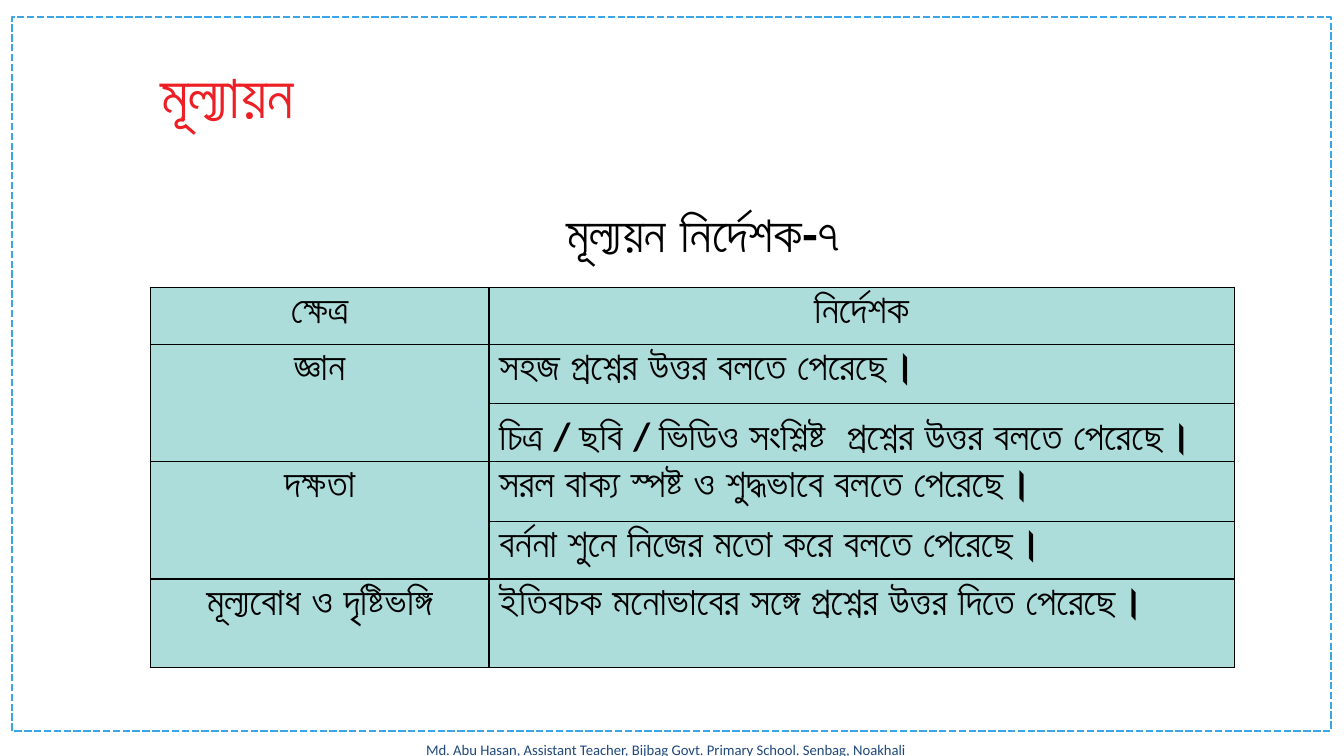
"""Build the assessment slide with its table of indicators."""
from dataclasses import dataclass

import pptx
import pptx.dml.color
import pptx.enum.dml
import pptx.enum.shapes
import pptx.enum.text
import pptx.oxml
import pptx.oxml.ns
import pptx.util

RGBColor = pptx.dml.color.RGBColor
PP_ALIGN = pptx.enum.text.PP_ALIGN
RED = RGBColor(0xED, 0x1F, 0x24)
BLACK = RGBColor(0, 0, 0)
NAVY = RGBColor(0x1F, 0x49, 0x7D)
SKY = RGBColor(0x3C, 0xA5, 0xE5)
TEAL = RGBColor(0xAC, 0xDD, 0xDA)
FONT = "Calibri"
WIDTH = pptx.util.Inches(13.33)
HEIGHT = pptx.util.Inches(7.5)


@dataclass(frozen=True)
class Box:
    """Place on the slide, in percent of its width and height."""
    x: float
    y: float
    w: float
    h: float

    def emu(self) -> tuple[int, int, int, int]:
        return across(self.x), down(self.y), across(self.w), down(self.h)


@dataclass(frozen=True)
class Label:
    """A line of text with its look."""
    text: str
    size: float
    color: RGBColor
    bold: bool = True
    align: PP_ALIGN = PP_ALIGN.LEFT


@dataclass(frozen=True)
class Row:
    """A table row; an empty area continues the one above."""
    height: float
    area: str
    indicator: str


FRAME = Box(0.9, 2.27, 98.12, 94.4)
TITLE = Box(11.18, 6.8, 22.43, 11.2)
SUBTITLE = Box(41.41, 26.13, 23.03, 9.47)
FOOTER = Box(26.26, 97.33, 46.59, 3.73)
COLUMNS = (25.21, 55.44)
ROWS = (
    Row(7.6, "ক্ষেত্র", "নির্দেশক"),
    Row(7.73, "জ্ঞান", "সহজ প্রশ্নের উত্তর বলতে পেরেছে।"),
    Row(7.6, "", "চিত্র / ছবি / ভিডিও সংশ্লিষ্ট  প্রশ্নের উত্তর বলতে পেরেছে।"),
    Row(8, "দক্ষতা", "সরল বাক্য স্পষ্ট ও শুদ্ধভাবে বলতে পেরেছে।"),
    Row(7.6, "", "বর্ননা শুনে নিজের মতো করে বলতে পেরেছে।"),
    Row(11.73, "মূল্যবোধ ও দৃষ্টিভঙ্গি", "ইতিবচক মনোভাবের সঙ্গে প্রশ্নের উত্তর দিতে পেরেছে।"),
)
TABLE = Box(11.18, 38, sum(COLUMNS), sum(row.height for row in ROWS))
LOW_ROW = 2


def across(share: float) -> int:
    return round(WIDTH * share / 100)


def down(share: float) -> int:
    return round(HEIGHT * share / 100)


def write(tf, label: Label) -> None:
    p = tf.paragraphs[0]
    p.text = label.text
    p.alignment = label.align
    p.font.name = FONT
    p.font.size = pptx.util.Pt(label.size)
    p.font.bold = label.bold
    p.font.color.rgb = label.color


def fit(sp, box: Box, label: Label) -> None:
    sp.left, sp.top, sp.width, sp.height = box.emu()
    tf = sp.text_frame
    tf.word_wrap = True
    tf.auto_size = pptx.enum.text.MSO_AUTO_SIZE.NONE
    tf.vertical_anchor = pptx.enum.text.MSO_ANCHOR.TOP
    write(tf, label)


def add_frame(s) -> None:
    sp = s.shapes.add_shape(pptx.enum.shapes.MSO_SHAPE.RECTANGLE, *FRAME.emu())
    sp.shadow.inherit = False
    sp.fill.background()
    sp.line.color.rgb = SKY
    sp.line.width = pptx.util.Pt(1.75)
    sp.line.dash_style = pptx.enum.dml.MSO_LINE.SQUARE_DOT


def add_borders(cell) -> None:
    tcPr = cell._tc.get_or_add_tcPr()
    for i, side in enumerate(("lnL", "lnR", "lnT", "lnB")):
        tcPr.insert(i, pptx.oxml.parse_xml(
            f'<a:{side} {pptx.oxml.ns.nsdecls("a")} w="{pptx.util.Pt(1)}">'
            f'<a:solidFill><a:srgbClr val="{BLACK}"/></a:solidFill></a:{side}>'))


def add_indicators(s) -> None:
    table = s.shapes.add_table(len(ROWS), len(COLUMNS), *TABLE.emu()).table
    table.first_row = table.horz_banding = False
    for column, share in zip(table.columns, COLUMNS):
        column.width = across(share)
    for i, row in enumerate(ROWS):
        table.rows[i].height = down(row.height)
        if not row.area:
            table.cell(i - 1, 0).merge(table.cell(i, 0))
        for j, text in enumerate((row.area, row.indicator)):
            cell = table.cell(i, j)
            cell.fill.solid()
            cell.fill.fore_color.rgb = TEAL
            add_borders(cell)
            if text:
                align = PP_ALIGN.LEFT if i and j else PP_ALIGN.CENTER
                write(cell.text_frame, Label(text, 28, BLACK, align=align))
    low = table.cell(LOW_ROW, 1)
    low.margin_top, low.margin_bottom = pptx.util.Inches(0.1), 0


def main() -> None:
    prs = pptx.Presentation()
    prs.slide_width, prs.slide_height = WIDTH, HEIGHT
    s = prs.slides.add_slide(prs.slide_layouts.get_by_name("Title Only"))
    fit(s.shapes.add_textbox(*FOOTER.emu()), FOOTER, Label(
        "Md. Abu Hasan, Assistant Teacher, Bijbag Govt. Primary School. Senbag, Noakhali",
        10.5, NAVY, bold=False, align=PP_ALIGN.CENTER))
    add_frame(s)
    fit(s.shapes.title, TITLE, Label("মূল্যায়ন", 44, RED))
    add_indicators(s)
    fit(s.shapes.add_textbox(*SUBTITLE.emu()), SUBTITLE,
        Label("মূল্যয়ন নির্দেশক-৭", 36, BLACK))
    prs.save("out.pptx")


if __name__ == "__main__":
    main()
